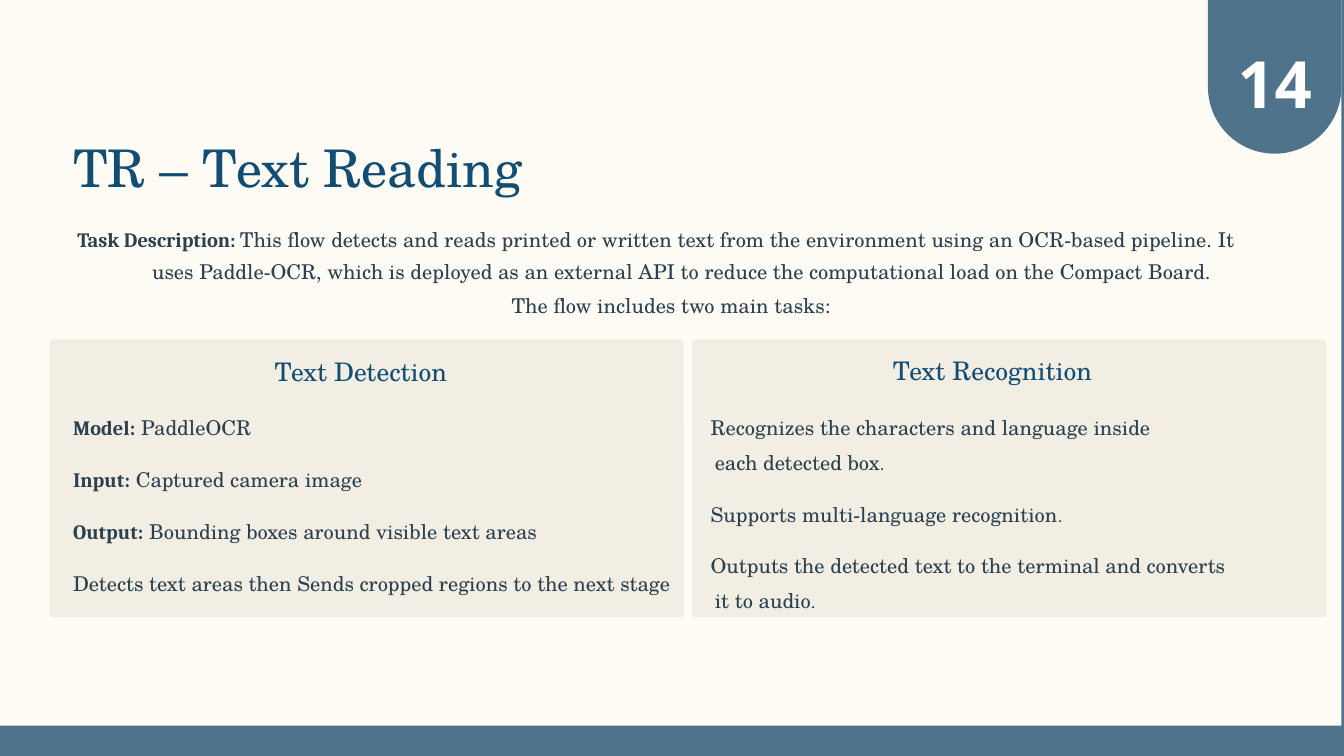
from pptx import Presentation
from pptx.dml.color import RGBColor
from pptx.enum.shapes import MSO_SHAPE as Shape
from pptx.enum.text import PP_ALIGN as Align
from pptx.util import Inches, Pt

BLUE, NAVY, INK = "50738C", "124E73", "2B4150"
CREAM, SAND, WHITE = "FFFCF5", "F3EEE3", "FFFFFF"
SERIF = "TeX Gyre Schola"


def paint(color, code):
    color.rgb = RGBColor.from_string(code)


def body(text):
    return text, 17.5, SERIF, INK, False


def label(text, font="Cambria"):
    return text, 17.5, font, INK, True


def stop():
    return ".", 17.5, "Cabin", INK, False


def head(text, size=21.9):
    return text, size, SERIF, NAVY, False


class Deck:
    """Holds the presentation, its slide and the ways to draw on it."""

    def __init__(self):
        self.prs = Presentation()
        self.prs.slide_width, self.prs.slide_height = Inches(16), Inches(9)
        self.slide = self.prs.slides.add_slide(self.prs.slide_layouts[6])
        fill = self.slide.background.fill
        fill.solid()
        paint(fill.fore_color, BLUE)

    def block(self, kind, x, y, w, h, code, bends=()):
        box = self.slide.shapes.add_shape(
            kind, Inches(x), Inches(y), Inches(w), Inches(h))
        box.shadow.inherit = False
        box.fill.solid()
        paint(box.fill.fore_color, code)
        box.line.fill.background()
        for i, bend in enumerate(bends):
            box.adjustments[i] = bend
        return box

    def text(self, x, y, w, h, lines, align=Align.LEFT):
        box = self.slide.shapes.add_textbox(
            Inches(x), Inches(y), Inches(w), Inches(h))
        frame = box.text_frame
        frame.word_wrap = True
        frame.margin_left = frame.margin_right = 0
        frame.margin_top = frame.margin_bottom = 0
        for i, (indent, pitch, *runs) in enumerate(lines):
            para = frame.add_paragraph() if i else frame.paragraphs[0]
            para.alignment = align
            if indent:
                para._p.get_or_add_pPr().set("marL", str(Inches(indent)))
            if pitch:
                para.line_spacing = Pt(pitch)
            for words, size, font, code, bold in runs:
                run = para.add_run()
                run.text = words
                run.font.size, run.font.name = Pt(size), font
                run.font.bold = bold
                paint(run.font.color, code)


def main():
    deck = Deck()
    deck.block(Shape.RECTANGLE, 0, 0, 15.97, 8.64, CREAM)
    for x in (0.59, 8.24):
        deck.block(Shape.ROUNDED_RECTANGLE, x, 4.04, 7.55, 3.31, SAND, [0.01])

    deck.text(0.87, 1.62, 14.28, 5.46, [
        (0, None, head("TR – Text Reading", 44.5)),
        (0.05, 45.2, label("Task Description"), label(": ", "Cabin"),
         body("This flow detects and reads printed or written text from the "
              "environment using an OCR-based pipeline. It")),
        (0.94, 28.1, body("uses Paddle-OCR, which is deployed as an external API to "
                          "reduce the computational load on the Compact Board.")),
        (5.22, 29, body("The flow includes two main tasks:")),
        (2.4, 58.9, head("Text Detection")),
        (0, 45.6, label("Model:"), body(" PaddleOCR")),
        (0, 44.6, label("Input:"), body(" Captured camera image")),
        (0, 44.6, label("Output:"), body(" Bounding boxes around visible text areas")),
        (0, 44.7, body("Detects text areas then Sends cropped regions to the next stage")),
    ])
    deck.text(8.46, 4.23, 6.5, 3.05, [
        (2.17, None, head("Text Recognition")),
        (0, 45.6, body("Recognizes the characters and language inside")),
        (0.05, 30, body("each detected box"), stop()),
        (0, 44.6, body("Supports multi-language recognition"), stop()),
        (0, 43.7, body("Outputs the detected text to the terminal and converts")),
        (0.05, 30, body("it to audio"), stop()),
    ])

    deck.block(Shape.ROUND_2_SAME_RECTANGLE, 14.38, 0, 1.59, 1.83, BLUE, [0, 0.5])
    deck.text(14.32, 0.36, 1.71, 1.02,
              [(0, 78, ("14", 55.8, "Open Sans", WHITE, True))], Align.CENTER)
    deck.prs.save("out.pptx")


if __name__ == "__main__":
    main()
